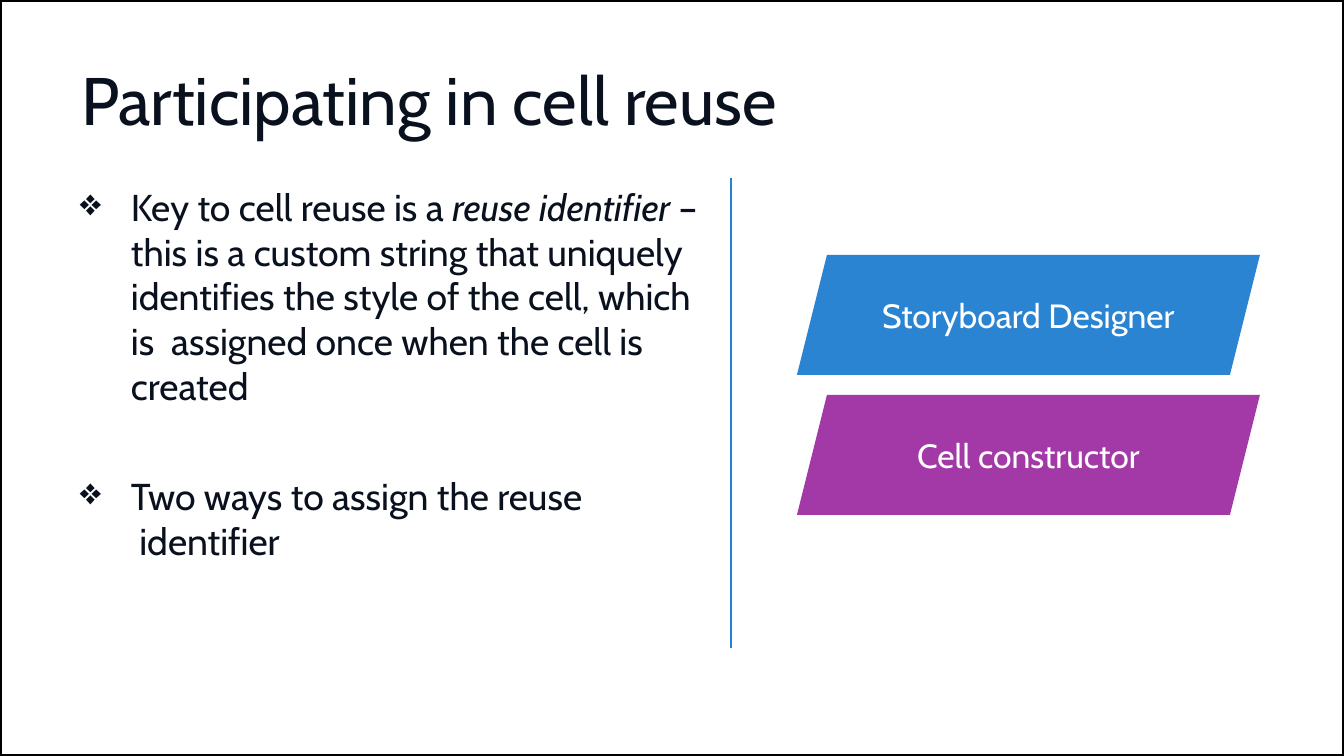
from lxml import etree
from pptx import Presentation
from pptx.dml.color import RGBColor
from pptx.enum import shapes, text
from pptx.oxml import ns
from pptx.util import Pt

PAGE_WIDTH, PAGE_HEIGHT = 1344, 756
PX = 9144000 / PAGE_WIDTH

INK = RGBColor(0x0A, 0x11, 0x1E)
WHITE = RGBColor(0xFF, 0xFF, 0xFF)
BLACK = RGBColor(0x00, 0x00, 0x00)
BLUE = RGBColor(0x2A, 0x84, 0xD2)
RULE_BLUE = RGBColor(0x24, 0x81, 0xD2)
PURPLE = RGBColor(0xA2, 0x39, 0xA7)


def emu(*lengths):
    return [round(length * PX) for length in lengths]


class SlideBuilder:
    font = "Cabin"

    def __init__(self, page):
        self.page = page

    def frame(self, shape):
        frame = shape.text_frame
        frame.word_wrap = True
        frame.margin_left = frame.margin_right = 0
        frame.margin_top = frame.margin_bottom = 0
        return frame

    def add_spans(self, para, spans, size, color):
        for words, italic in spans:
            span = para.add_run()
            span.text = words
            span.font.name = self.font
            span.font.size = Pt(size)
            span.font.italic = italic
            span.font.color.rgb = color

    def title(self, words, *place):
        box = self.page.shapes.add_textbox(*emu(*place))
        self.add_spans(self.frame(box).paragraphs[0], [(words, False)], 36, INK)

    def bullets(self, items, gap, *place):
        frame = self.frame(self.page.shapes.add_textbox(*emu(*place)))
        for index, lines in enumerate(items):
            para = frame.add_paragraph() if index else frame.paragraphs[0]
            properties = para._p.get_or_add_pPr()
            indent, hanging = emu(52, -51)
            properties.set("marL", str(indent))
            properties.set("indent", str(hanging))
            mark = etree.SubElement(properties, ns.qn("a:buChar"))
            mark.set("char", "❖")
            if index:
                para.space_before = Pt(gap)
            for number, spans in enumerate(lines):
                if number:
                    para.add_line_break()
                self.add_spans(para, spans, 20, INK)

    def parallelogram(self, words, color, *place):
        shape = self.page.shapes.add_shape(
            shapes.MSO_SHAPE.PARALLELOGRAM, *emu(*place))
        shape.adjustments[0] = 0.25
        shape.shadow.inherit = False
        shape.fill.solid()
        shape.fill.fore_color.rgb = color
        shape.line.fill.background()
        frame = self.frame(shape)
        frame.vertical_anchor = text.MSO_ANCHOR.MIDDLE
        para = frame.paragraphs[0]
        para.alignment = text.PP_ALIGN.CENTER
        self.add_spans(para, [(words, False)], 18, WHITE)

    def border(self, color, width):
        shape = self.page.shapes.add_shape(
            shapes.MSO_SHAPE.RECTANGLE, *emu(0, 0, PAGE_WIDTH, PAGE_HEIGHT))
        shape.shadow.inherit = False
        shape.fill.background()
        shape.line.color.rgb = color
        shape.line.width = Pt(width)

    def rule(self, color, width, *ends):
        line = self.page.shapes.add_connector(
            shapes.MSO_CONNECTOR.STRAIGHT, *emu(*ends))
        line.line.color.rgb = color
        line.line.width = Pt(width)
        etree.SubElement(line._element.spPr, ns.qn("a:effectLst"))


def main():
    deck = Presentation()
    deck.slide_width, deck.slide_height = emu(PAGE_WIDTH, PAGE_HEIGHT)
    builder = SlideBuilder(deck.slides.add_slide(deck.slide_layouts[6]))

    # Title and explanation
    builder.title("Participating in cell reuse", 81, 58, 1187, 81)
    builder.bullets([
        [[("Key to cell reuse is a ", False),
          ("reuse identifier ", True),
          ("– this is a custom string that uniquely identifies the style "
           "of the cell, which is  assigned once when the cell is created",
           False)]],
        [[("Two ways to assign the reuse", False)],
         [(" identifier", False)]],
    ], 35, 79, 184, 634, 378)

    # Two ways to assign the identifier
    ways = [("Storyboard Designer", BLUE), ("Cell constructor", PURPLE)]
    for row, (words, color) in enumerate(ways):
        builder.parallelogram(words, color, 797, 255 + row * 140, 463, 120)

    # Page border and divider
    builder.border(BLACK, 2)
    builder.rule(RULE_BLUE, 0.8, 731, 178, 731, 648)

    deck.save("out.pptx")


if __name__ == "__main__":
    main()
